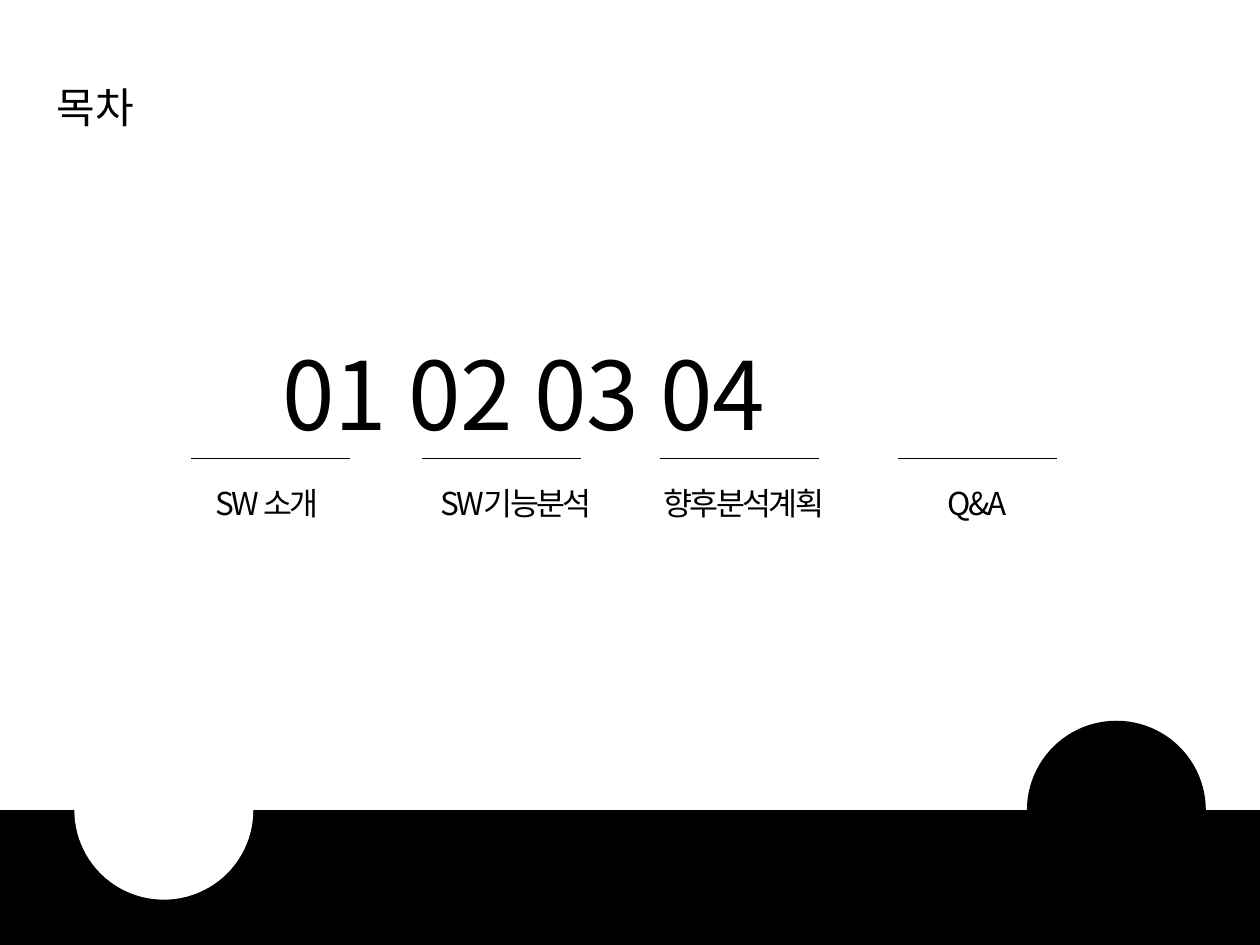
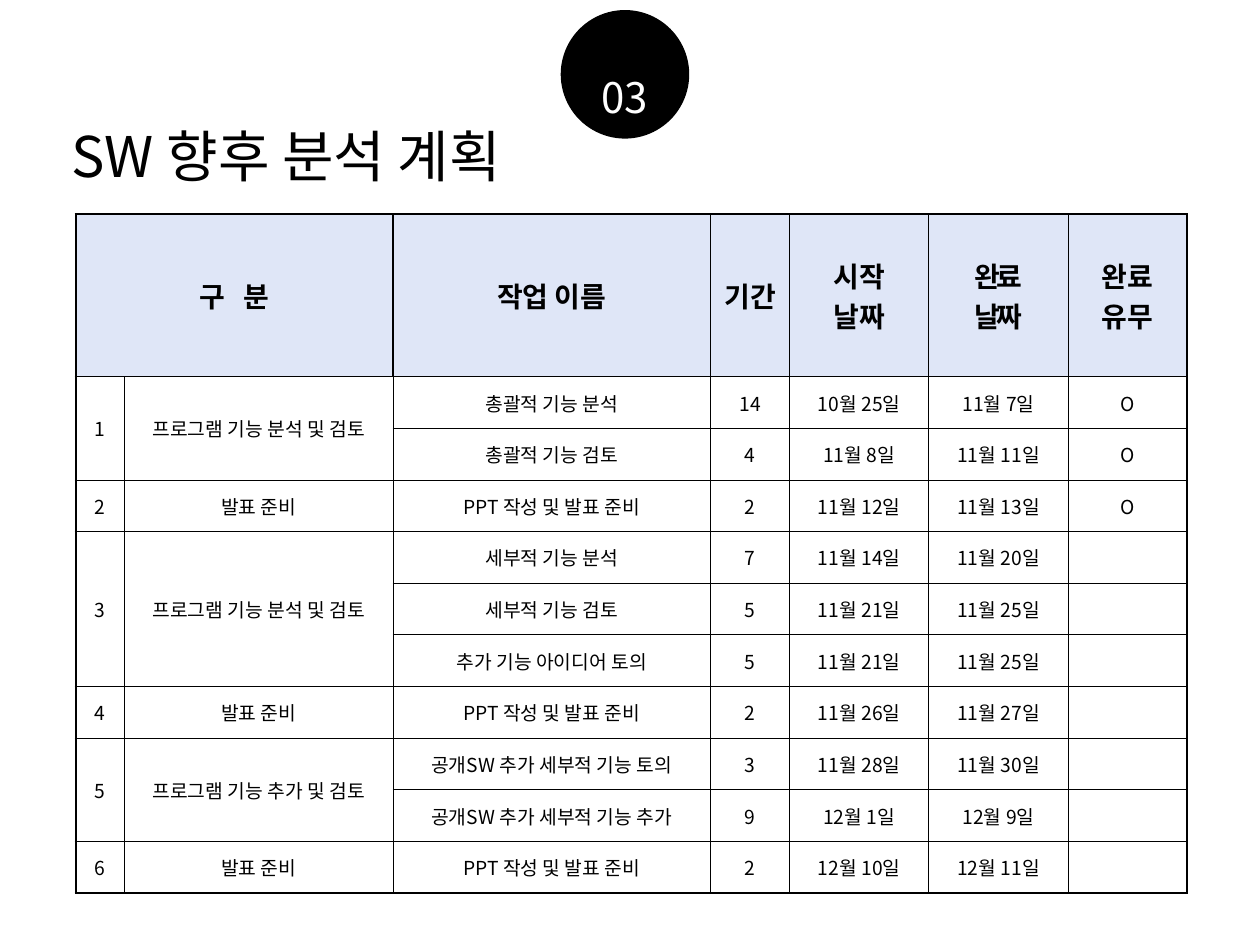
from collections import namedtuple

from lxml import etree
from pptx import Presentation
from pptx import util as u
from pptx.dml.color import RGBColor
from pptx.enum import shapes, text
from pptx.oxml import ns

BLACK = RGBColor(0x00, 0x00, 0x00)
WHITE = RGBColor(0xFF, 0xFF, 0xFF)
HEADER_BLUE = RGBColor(0xDF, 0xE6, 0xF7)
FONT = "Noto Sans CJK KR"
CENTER, LEFT = text.PP_ALIGN.CENTER, text.PP_ALIGN.LEFT

# The slide is a grid of 100 columns by 75 rows; every box is measured in them.
COLUMNS, ROWS = 100, 75
CELL = u.Inches(0.1)
THIN, THICK = u.Pt(0.6), u.Pt(1.2)

Box = namedtuple("Box", "left top width height")

CONTENTS = ["SW 소개", "SW기능분석", "향후분석계획", "Q&A"]
RULE_LEFTS = [15.2, 33.5, 52.4, 71.3]
LABEL_CENTERS = [21.2, 40.95, 59.05, 77.55]

HEADINGS = ["구 분", None, "작업 이름", "기간", "시작\n날짜", "완료\n날짜", "완료 유무"]
HEADING_SPACING = {0: 3.6, 5: -2}
COLUMN_WIDTHS = [3.9, 21.3, 25.2, 6.3, 11, 11.1, 9.4]
HEADER_HEIGHT, ROW_HEIGHT = 12.9, 4.1
REVIEW, PREPARE = "프로그램 기능 분석 및 검토", "발표 준비"
SLIDES_TASK = "PPT 작성 및 발표 준비"
PHASES = [
    (REVIEW, [("총괄적 기능 분석", "14", "10월 25일", "11월 7일", "O"),
              ("총괄적 기능 검토", "4", "11월 8일", "11월 11일", "O")]),
    (PREPARE, [(SLIDES_TASK, "2", "11월 12일", "11월 13일", "O")]),
    (REVIEW, [("세부적 기능 분석", "7", "11월 14일", "11월 20일", ""),
              ("세부적 기능 검토", "5", "11월 21일", "11월 25일", ""),
              ("추가 기능 아이디어 토의", "5", "11월 21일", "11월 25일", "")]),
    (PREPARE, [(SLIDES_TASK, "2", "11월 26일", "11월 27일", "")]),
    ("프로그램 기능 추가 및 검토",
     [("공개SW 추가 세부적 기능 토의", "3", "11월 28일", "11월 30일", ""),
      ("공개SW 추가 세부적 기능 추가", "9", "12월 1일", "12월 9일", "")]),
    (PREPARE, [(SLIDES_TASK, "2", "12월 10일", "12월 11일", "")]),
]


def grid(value):
    return round(value * CELL)


def within(box, left, top, width, height):
    """A box given relative to the corner of another one."""
    return Box(box.left + left, box.top + top, width, height)


def write(text_frame, words, size, color=BLACK, align=CENTER, bold=False, spacing=0):
    text_frame.text = words
    for paragraph in text_frame.paragraphs:
        paragraph.alignment = align
        for run in paragraph.runs:
            font = run.font
            font.size, font.bold, font.name = u.Pt(size), bold, FONT
            font.color.rgb = color
            properties = run.font._element
            etree.SubElement(properties, ns.qn("a:ea"), typeface=FONT)
            if spacing:
                properties.set("spc", str(round(spacing * 100)))


def add_text(slide, box, words, size, **style):
    shape = slide.shapes.add_textbox(*map(grid, box))
    text_frame = shape.text_frame
    text_frame.word_wrap = True
    text_frame.vertical_anchor = text.MSO_ANCHOR.MIDDLE
    text_frame.margin_top = text_frame.margin_bottom = 0
    write(text_frame, words, size, **style)
    return shape


def add_filled(slide, kind, box, color):
    shape = slide.shapes.add_shape(kind, *map(grid, box))
    shape.shadow.inherit = False
    shape.fill.solid()
    shape.fill.fore_color.rgb = color
    shape.line.fill.background()


def add_rule(slide, left, top, length):
    line = slide.shapes.add_connector(
        shapes.MSO_CONNECTOR.STRAIGHT,
        grid(left), grid(top), grid(left + length), grid(top))
    line.line.color.rgb = BLACK
    line.line.width = u.Pt(0.75)
    etree.SubElement(line._element.spPr, ns.qn("a:effectLst"))


def add_numbers(slide, box, indent, pitch):
    """One line of chapter numbers, spaced by tab stops."""
    numbers = [f"{number:02}" for number in range(1, len(CONTENTS) + 1)]
    shape = add_text(slide, box, "\t".join(numbers), 54, align=LEFT)
    properties = shape.text_frame.paragraphs[0]._p.get_or_add_pPr()
    properties.set("marL", str(grid(indent)))
    properties.set("indent", "0")
    stops = etree.SubElement(properties, ns.qn("a:tabLst"))
    for step in range(1, len(numbers)):
        etree.SubElement(stops, ns.qn("a:tab"),
                         pos=str(grid(indent + step * pitch)), algn="l")


def add_contents(slide, box):
    add_numbers(slide, within(box, 0, 0, box.width, 9.9), 17.8, 15.05)
    for left in RULE_LEFTS:
        add_rule(slide, left, box.top + 10.2, 12.6)
    for label, center in zip(CONTENTS, LABEL_CENTERS):
        label_box = Box(center - 10, box.top + 11.7, 20, 4)
        add_text(slide, label_box, label, 18, spacing=-1.5)


def add_puzzle_band(slide, box):
    """A band with a knob on the right and a notch on the left."""
    size = 14.2
    ellipse = shapes.MSO_SHAPE.OVAL
    add_filled(slide, ellipse, within(box, 81.5, -size / 2, size, size), BLACK)
    add_filled(slide, shapes.MSO_SHAPE.RECTANGLE, box, BLACK)
    add_filled(slide, ellipse, within(box, 5.9, -size / 2, size, size), WHITE)


def add_badge(slide, box, number):
    add_filled(slide, shapes.MSO_SHAPE.OVAL, box, BLACK)
    add_text(slide, within(box, -0.8, 4.4, box.width + 1.6, 5), number, 24, color=WHITE)


def set_borders(cell, **widths):
    properties = cell._tc.get_or_add_tcPr()
    for side in "LRTB":
        line = etree.SubElement(properties, ns.qn(f"a:ln{side}"), w=str(widths[side]))
        fill = etree.SubElement(line, ns.qn("a:solidFill"))
        etree.SubElement(fill, ns.qn("a:srgbClr"), val=str(BLACK))


def style_cell(cell, row, column, last_row, last_column):
    def edge(thick):
        return THICK if thick else THIN

    header = row == 0
    set_borders(cell, L=edge(column == 0), T=edge(header), B=edge(row == last_row),
                R=edge(column == last_column or (header and column < 2)))
    cell.fill.solid()
    cell.fill.fore_color.rgb = HEADER_BLUE if header else WHITE
    cell.vertical_anchor = text.MSO_ANCHOR.MIDDLE
    cell.margin_top = cell.margin_bottom = 0


def fill_schedule(table):
    for column, heading in enumerate(HEADINGS):
        if heading:
            write(table.cell(0, column).text_frame, heading, 16, bold=True,
                  spacing=HEADING_SPACING.get(column, 0))
    table.cell(0, 0).merge(table.cell(0, 1))
    row = 1
    for number, (phase, tasks) in enumerate(PHASES, start=1):
        for column, words in enumerate((str(number), phase)):
            write(table.cell(row, column).text_frame, words, 11)
            if len(tasks) > 1:
                table.cell(row, column).merge(table.cell(row + len(tasks) - 1, column))
        for task in tasks:
            for column, words in enumerate(task, start=2):
                write(table.cell(row, column).text_frame, words, 11)
            row += 1


def add_schedule(slide, box):
    row_count = 1 + sum(len(tasks) for _, tasks in PHASES)
    table = slide.shapes.add_table(row_count, len(HEADINGS), *map(grid, box)).table
    table.first_row = table.horz_banding = False
    for column, width in zip(table.columns, COLUMN_WIDTHS):
        column.width = grid(width)
    for index, row in enumerate(table.rows):
        row.height = grid(ROW_HEIGHT if index else HEADER_HEIGHT)
        for column, cell in enumerate(row.cells):
            style_cell(cell, index, column, row_count - 1, len(HEADINGS) - 1)
    fill_schedule(table)


def build_contents_slide(slide):
    add_text(slide, Box(3.5, 6, 45.7, 4.9), "목차", 24, align=LEFT)
    add_contents(slide, Box(3.6, 26.2, 92.9, 16))
    add_puzzle_band(slide, Box(0, 64.3, COLUMNS, ROWS - 64.3))


def build_schedule_slide(slide):
    add_badge(slide, Box(44.5, 0.8, 10.2, 10.2), "03")
    add_text(slide, Box(4.7, 9.2, 55.6, 6.2), "SW 향후 분석 계획", 32, align=LEFT)
    add_schedule(slide, Box(6, 17, sum(COLUMN_WIDTHS), 53.9))


def main():
    presentation = Presentation()
    presentation.slide_width, presentation.slide_height = grid(COLUMNS), grid(ROWS)
    blank = presentation.slide_layouts[6]
    for build in (build_contents_slide, build_schedule_slide):
        build(presentation.slides.add_slide(blank))
    presentation.save("out.pptx")


if __name__ == "__main__":
    main()
